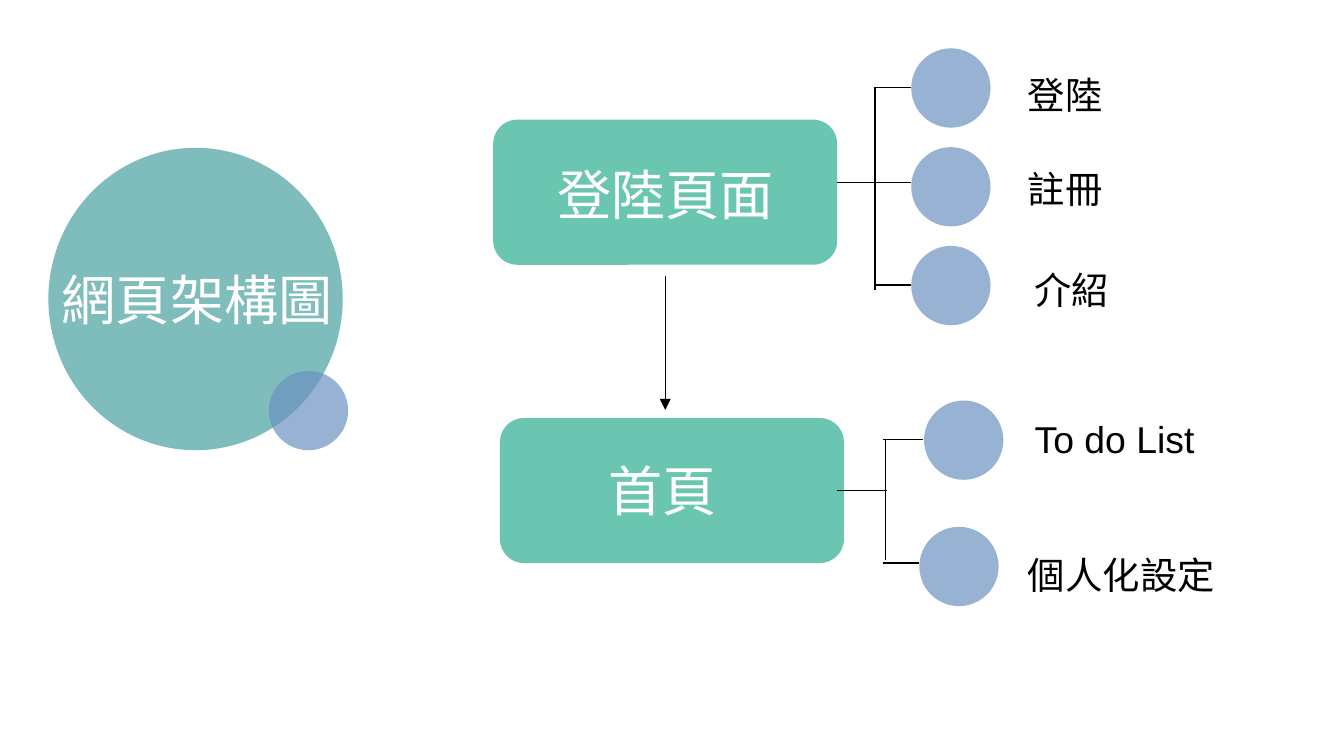
import pptx
import pptx.util
import pptx.dml.color
import pptx.enum.shapes
import pptx.enum.text
import pptx.oxml
import pptx.oxml.ns
import lxml.etree

COLORS = {"teal": "48A2A0", "blue": "6C92C0", "mint": "6AC6B0",
          "white": "FFFFFF", "black": "000000"}
FONT = "Arial"

# Square grid: 100 columns by 56.25 rows
COLUMNS, ROWS = 100, 56.25
UNIT = pptx.util.Inches(10) / COLUMNS
DOT = 5.9
PAGE_SIZE = (25.6, 10.8)
HEADING_SIZE = (27.9, 6.9)


def grid(*cells):
    return [round(cell * UNIT) for cell in cells]


def rgb(name):
    return pptx.dml.color.RGBColor.from_string(COLORS[name])


def add_xml(parent, tag, **attributes):
    element = lxml.etree.SubElement(parent, pptx.oxml.ns.qn(tag))
    for key, value in attributes.items():
        element.set(key, value)
    return element


def add_block(slide, kind, color, left, top, width, height, opacity=100):
    block = slide.shapes.add_shape(kind, *grid(left, top, width, height))
    block.shadow.inherit = False
    block.fill.solid()
    block.fill.fore_color.rgb = rgb(color)
    block.line.fill.background()
    if opacity < 100:
        tint = block.element.spPr.find(".//" + pptx.oxml.ns.qn("a:srgbClr"))
        add_xml(tint, "a:alpha", val=str(opacity * 1000))


def add_circle(slide, color, left, top, width=DOT, height=DOT):
    add_block(slide, pptx.enum.shapes.MSO_SHAPE.OVAL, color,
              left, top, width, height, opacity=70)


def write(slide, text, left, top, width, height, size=20, color="black",
          inset=0.5, holder=None):
    """Write text in a new box, or in the given placeholder."""
    box = holder or slide.shapes.add_textbox(0, 0, 0, 0)
    box.left, box.top, box.width, box.height = grid(left, top, width, height)
    frame = box.text_frame
    frame.word_wrap = True
    frame.auto_size = pptx.enum.text.MSO_AUTO_SIZE.SHAPE_TO_FIT_TEXT
    frame.vertical_anchor = pptx.enum.text.MSO_ANCHOR.TOP
    frame.margin_left = frame.margin_right = grid(1)[0]
    frame.margin_top = frame.margin_bottom = grid(inset)[0]
    paragraph = frame.paragraphs[0]
    paragraph.alignment = pptx.enum.text.PP_ALIGN.LEFT
    run = paragraph.add_run()
    run.text = text
    run.font.name = FONT
    run.font.size = pptx.util.Pt(size)
    run.font.color.rgb = rgb(color)
    add_xml(run.font._element, "a:ea", typeface=FONT)


def write_heading(slide, text, left, top, holder=None):
    write(slide, text, left, top, *HEADING_SIZE, size=29, color="white",
          inset=1, holder=holder)


def add_line(slide, x1, y1, x2, y2, arrow=False):
    line = slide.shapes.add_connector(
        pptx.enum.shapes.MSO_CONNECTOR.STRAIGHT, *grid(x1, y1, x2, y2))
    line.line.color.rgb = rgb("black")
    line.line.width = pptx.util.Pt(0.75)
    if arrow:
        add_xml(line.line._get_or_add_ln(), "a:tailEnd", type="triangle")
    add_xml(line.element.spPr, "a:effectLst")


def main():
    deck = pptx.Presentation()
    deck.slide_width, deck.slide_height = grid(COLUMNS, ROWS)
    slide = deck.slides.add_slide(deck.slide_layouts[5])

    # Title on its circles, brought in front of them
    title = slide.shapes.title
    add_circle(slide, "teal", 3.6, 11, 21.9, 22.5)
    add_circle(slide, "blue", 20, 27.6)
    title.element.getparent().append(title.element)
    write_heading(slide, "網頁架構圖", 3.6, 18.8, holder=title)

    # Pages: box corner, then text corner
    pages = [("登陸頁面", (36.7, 8.9), (40.5, 11)),
             ("首頁", (37.2, 31.1), (44.3, 33))]
    for name, box, label in pages:
        add_block(slide, pptx.enum.shapes.MSO_SHAPE.ROUNDED_RECTANGLE,
                  "mint", *box, *PAGE_SIZE)
        write_heading(slide, name, *label)

    # Functions: dot corner, then text corner and width
    functions = [("登陸", (67.8, 3.6), (75.5, 4.9), 15),
                 ("註冊", (67.8, 10.95), (75.5, 11.9), 15),
                 ("介紹", (67.8, 18.3), (76, 19.4), 15),
                 ("To do List", (68.75, 29.8), (76, 30.5), 15),
                 ("個人化設定", (68.4, 39.2), (75.5, 40.6), 17.3)]
    for name, dot, label, width in functions:
        add_circle(slide, "blue", *dot)
        write(slide, name, *label, width, 4.4)

    # Flow from the first page to the second
    add_line(slide, 49.5, 20.5, 49.5, 30.5, arrow=True)

    # Brackets: a stem, a spine and one branch for each function
    brackets = [
        (62.3, 13.6, 67.8), (65.1, 6.5, 67.8), (65.1, 21.2, 67.8),
        (62.3, 36.5, 66), (65.7, 32.7, 68.7), (65.7, 41.9, 68.4)]
    for start, row, end in brackets:
        add_line(slide, start, row, end, row)
    for column, top, bottom in [(65.1, 6.5, 21.6), (65.9, 32.7, 41.7)]:
        add_line(slide, column, top, column, bottom)

    deck.save("out.pptx")


main()
